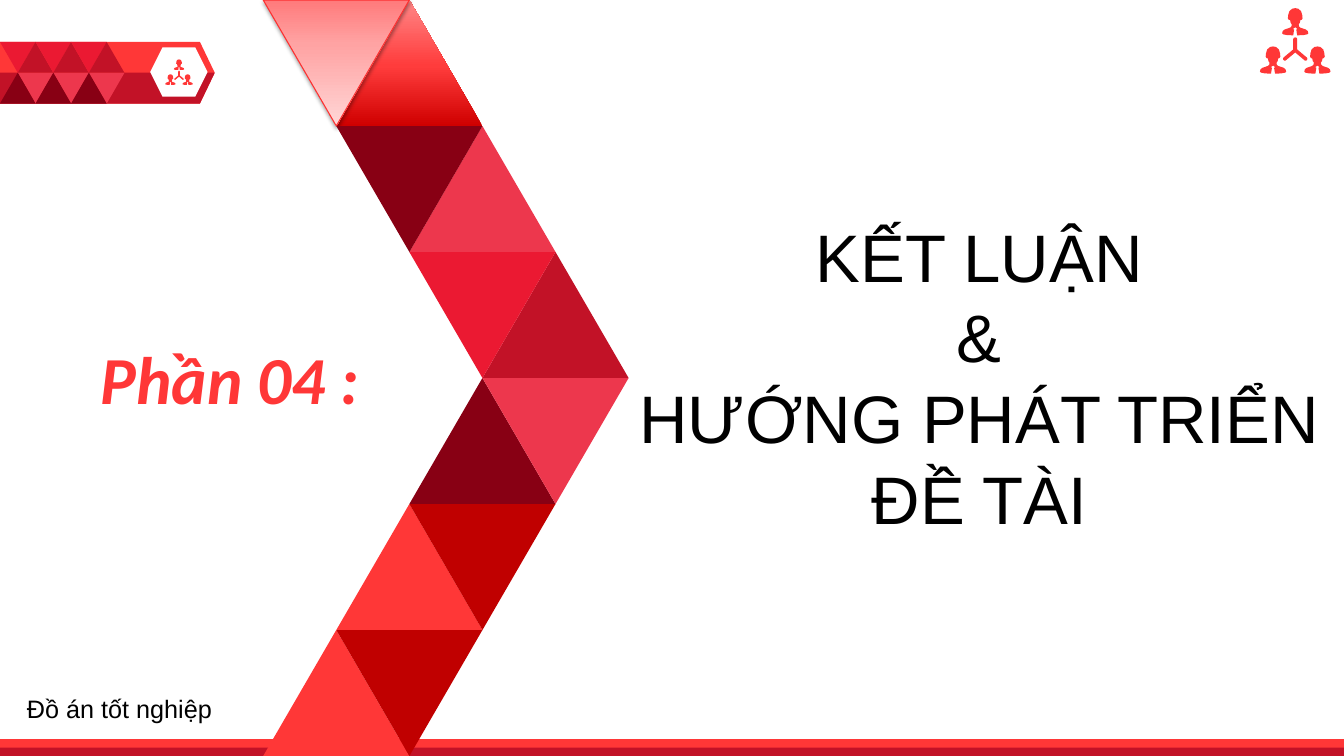
import pptx
import pptx.util
import pptx.dml.color
import pptx.enum.shapes
import pptx.enum.text
import pptx.oxml
import pptx.oxml.ns

Pt = pptx.util.Pt
Color = pptx.dml.color.RGBColor
Kind = pptx.enum.shapes.MSO_SHAPE
Align = pptx.enum.text.PP_ALIGN
Anchor = pptx.enum.text.MSO_ANCHOR

RED = Color(0xFF, 0x37, 0x37)
DEEP = Color(0xC2, 0x12, 0x27)
DARK = Color(0x88, 0x00, 0x14)
ROSE = Color(0xED, 0x37, 0x4D)
VIVID = Color(0xEB, 0x19, 0x32)
BRICK = Color(0xC0, 0x00, 0x00)
EDGE = Color(0xFD, 0x30, 0x30)
WHITE = Color(0xFF, 0xFF, 0xFF)
BLACK = Color(0x00, 0x00, 0x00)

TITLE = ["KẾT LUẬN", "&", "HƯỚNG PHÁT TRIỂN", "ĐỀ TÀI"]
PART = "Phần 04 :"
NOTE = "Đồ án tốt nghiệp"

GLOW = [(0, "CF0000"), (48, "FF3C3C"), (100, "FF8787")]
PALE = [(0, "FF7A7B"), (35, "FFA3A3"), (100, "FFD6D6")]

# Each row: column and fill of the upright tile, then of the inverted tile
CHEVRON = [
    ((1, GLOW), (0, PALE)),
    ((2, ROSE), (1, DARK)),
    ((3, DEEP), (2, VIVID)),
    ((2, DARK), (3, ROSE)),
    ((1, RED), (2, BRICK)),
    ((0, RED), (1, BRICK)),
]
BADGE = [(0, 0, VIVID, True), (1, 0, DEEP, False),
         (1, 1, ROSE, True), (0, 1, DARK, False)]

HEADS = [(35, 0), (13, 38), (57, 38)]
HALF = [(0, 0), (3, 0.6), (5.8, 3), (7, 7), (7, 8), (7.3, 10), (6.5, 11.5),
        (5, 12), (4.6, 14.5), (3.5, 16), (3.7, 18), (5, 19.3), (7, 20),
        (10.5, 21.2), (12.4, 22.7), (13, 25), (12, 26), (8, 26.8), (2, 27),
        (1, 21), (2, 21), (1.7, 20.2), (0, 19)]
HUB = [(0, 29), (1.5, 29.5), (2, 31), (2, 41), (11.5, 49), (12.1, 50),
       (11.8, 51.3), (11, 52), (9.5, 52), (0, 44)]

deck = pptx.Presentation()
deck.slide_width, deck.slide_height = Pt(960), Pt(540)
slide = deck.slides.add_slide(deck.slide_layouts[5])
shapes = slide.shapes


def blend(shape, stops):
    shape.fill.gradient()
    shape.fill.gradient_angle = 90
    grad = shape.fill._xPr.find(pptx.oxml.ns.qn("a:gradFill"))
    listing = grad.find(pptx.oxml.ns.qn("a:gsLst"))
    for stop in list(listing):
        listing.remove(stop)
    for pos, tint in stops:
        listing.append(pptx.oxml.parse_xml(
            f'<a:gs {pptx.oxml.ns.nsdecls("a")} pos="{pos * 1000}">'
            f'<a:srgbClr val="{tint}"/></a:gs>'))


def paint(shape, fill):
    shape.shadow.inherit = False
    shape.line.fill.background()
    if isinstance(fill, list):
        blend(shape, fill)
    else:
        shape.fill.solid()
        shape.fill.fore_color.rgb = fill
    return shape


def block(kind, left, top, width, height, fill):
    return paint(shapes.add_shape(kind, Pt(left), Pt(top), Pt(width), Pt(height)), fill)


def tile(left, top, width, height, fill, down):
    shape = block(Kind.ISOSCELES_TRIANGLE, left, top, width, height, fill)
    if down:
        shape.rotation = 180
    return shape


def outline(loops, fill):
    loops = [[(Pt(x), Pt(y)) for x, y in loop] for loop in loops]
    pen = shapes.build_freeform(*loops[0][0], scale=1.0)
    for loop in loops:
        if loop is not loops[0]:
            pen.move_to(*loop[0])
        pen.add_line_segments(loop[1:], close=True)
    return paint(pen.convert_to_shape(), fill)


def team(left, top, unit):
    parts = [(HALF, x, y) for x, y in HEADS] + [(HUB, 35, 0)]
    loops = []
    for half, mid, drop in parts:
        whole = half + [(-x, y) for x, y in half[-2:0:-1]]
        loops.append([(left + (mid + x) * unit, top + (drop + y) * unit)
                      for x, y in whole])
    outline(loops, RED)


def write(shape, lines, size, font, color, align):
    frame = shape.text_frame
    frame.word_wrap = True
    frame.auto_size = pptx.enum.text.MSO_AUTO_SIZE.NONE
    frame.vertical_anchor = Anchor.TOP
    frame.text = "\n".join(lines)
    for para in frame.paragraphs:
        para.alignment = align
        para.line_spacing = 1.0
        para.space_before = Pt(0)
        para.font.size = Pt(size)
        para.font.name = font
        para.font.color.rgb = color
    return frame


def label(left, top, width, height, text, size, font, color):
    box = shapes.add_textbox(Pt(left), Pt(top), Pt(width), Pt(height))
    return write(box, [text], size, font, color, Align.LEFT)


plate = block(Kind.PENTAGON, 0, 30, 153.4, 44, RED)
plate.adjustments[0] = 0.24
outline([[(0, 52), (153.4, 52), (142.8, 74), (0, 74)]], DEEP)
hexa = block(Kind.HEXAGON, 107.3, 33.8, 41, 35.3, WHITE)
hexa.adjustments[0] = 0.25
team(118.1, 42.5, 0.28)
for group in range(3):
    for col, row, fill, down in BADGE:
        tile(25.4 * group + 12.7 * col, 30 + 22 * row, 25.4, 22, fill, down)

block(Kind.RECTANGLE, 0, 528, 960, 12, RED)
block(Kind.RECTANGLE, 0, 534, 960, 6, DEEP)

for row, pair in enumerate(CHEVRON):
    for down, (col, fill) in enumerate(pair):
        shape = tile(188 + 52.2 * col, 90 * row, 104.4, 90, fill, down)
        if fill is PALE:
            shape.line.color.rgb = EDGE
            shape.line.width = Pt(0.75)
            effects = shape._element.spPr.find(pptx.oxml.ns.qn("a:effectLst"))
            effects.append(pptx.oxml.parse_xml(
                f'<a:outerShdw {pptx.oxml.ns.nsdecls("a")} blurRad="{Pt(3.1)}" '
                f'dist="{Pt(1.6)}" dir="5400000" rotWithShape="0">'
                '<a:srgbClr val="000000"><a:alpha val="37000"/></a:srgbClr>'
                '</a:outerShdw>'))

part = label(64.8, 237.6, 296.6, 64.8, PART, 48, "Calibri", RED)
part.paragraphs[0].font.bold = True
part.paragraphs[0].font.italic = True

title = shapes.title
title.left, title.top, title.width, title.height = Pt(447.5), Pt(150), Pt(504), Pt(240)
write(title, TITLE, 48, "Arial", BLACK, Align.CENTER)

team(900, 5.8, 0.72)
label(12.2, 491.8, 203.8, 28.8, NOTE, 18, "Arial", BLACK)

deck.save("out.pptx")
